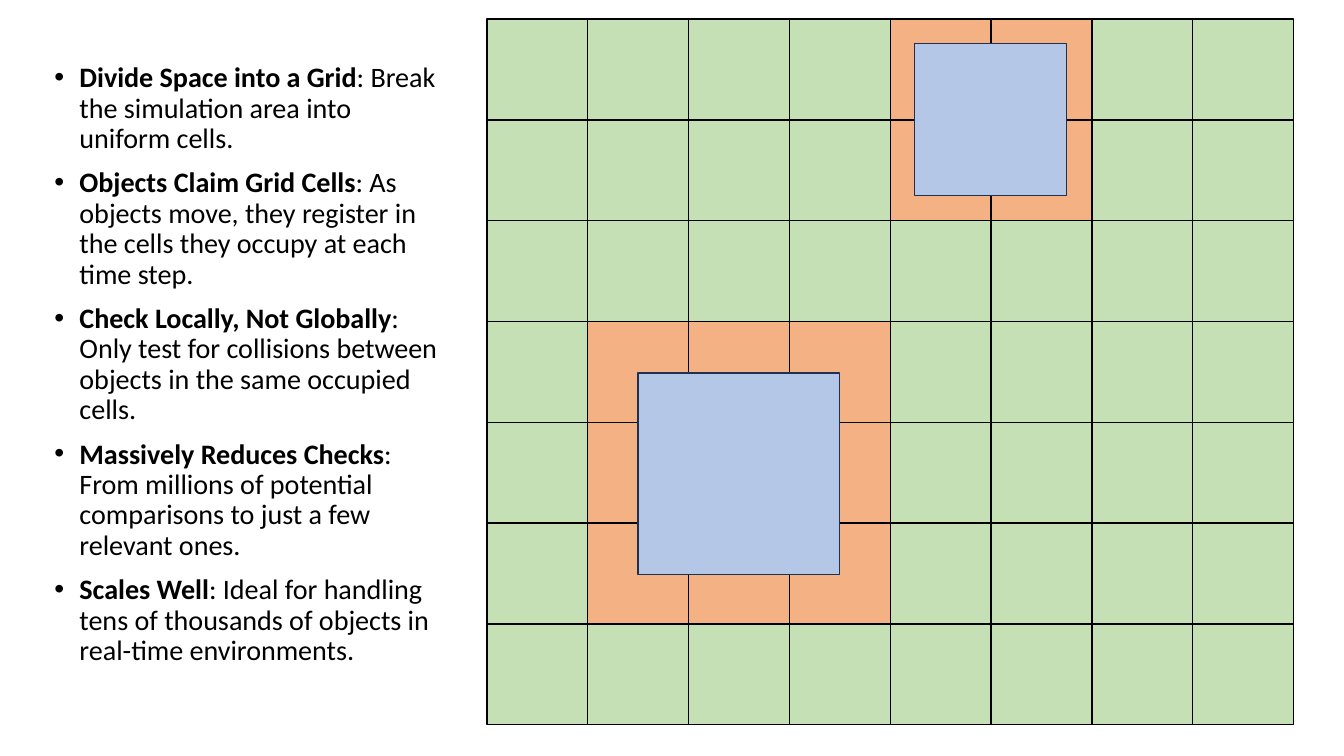
import pptx
import pptx.util
import pptx.dml.color
import pptx.enum.shapes
import pptx.enum.text
import pptx.oxml.ns
import lxml.etree

PX = 9144
CELL = 100
COLUMNS, ROWS = 8, 7
GRID_LEFT, GRID_TOP = 483, 19

BLACK = pptx.dml.color.RGBColor(0x00, 0x00, 0x00)
FREE_GREEN = pptx.dml.color.RGBColor(0xC5, 0xE0, 0xB4)
CLAIMED_ORANGE = pptx.dml.color.RGBColor(0xF4, 0xB1, 0x83)
OBJECT_BLUE = pptx.dml.color.RGBColor(0xB4, 0xC7, 0xE7)
OBJECT_EDGE = pptx.dml.color.RGBColor(0x1D, 0x31, 0x55)

OBJECTS = [(633, 370, 200), (907, 43, 151)]

POINTS = [
    ("Divide Space into a Grid", ": Break the simulation area into uniform cells."),
    ("Objects Claim Grid Cells",
     ": As objects move, they register in the cells they occupy at each time step."),
    ("Check Locally, Not Globally",
     ": Only test for collisions between objects in the same occupied cells."),
    ("Massively Reduces Checks",
     ": From millions of potential comparisons to just a few relevant ones."),
    ("Scales Well",
     ": Ideal for handling tens of thousands of objects in real-time environments."),
]


def px(length):
    return pptx.util.Emu(length * PX)


def add_square(slide, left, top, side, fill, edge):
    square = slide.shapes.add_shape(
        pptx.enum.shapes.MSO_SHAPE.RECTANGLE, px(left), px(top), px(side), px(side))
    square.shadow.inherit = False
    square.fill.solid()
    square.fill.fore_color.rgb = fill
    square.line.color.rgb = edge
    square.line.width = pptx.util.Pt(1)


def overlaps(left, top, thing):
    x, y, side = thing
    return x - CELL < left < x + side and y - CELL < top < y + side


def covers(left, top, thing):
    x, y, side = thing
    return x <= left <= x + side - CELL and y <= top <= y + side - CELL


def add_grid(slide):
    for row in range(ROWS):
        for column in range(COLUMNS):
            left, top = GRID_LEFT + column * CELL, GRID_TOP + row * CELL
            if any(covers(left, top, thing) for thing in OBJECTS):
                continue
            claimed = any(overlaps(left, top, thing) for thing in OBJECTS)
            add_square(slide, left, top, CELL,
                       CLAIMED_ORANGE if claimed else FREE_GREEN, BLACK)


def add_run(paragraph, text, size=20.1, font="Calibri", color=BLACK, bold=False):
    run = paragraph.add_run()
    run.text = text
    run.font.size = pptx.util.Pt(size)
    run.font.name = font
    run.font.color.rgb = color
    run.font.bold = bold


def set_bullet(paragraph, indent):
    properties = paragraph._p.get_or_add_pPr()
    properties.set("marL", str(px(indent)))
    properties.set("indent", str(px(-indent)))
    qn = pptx.oxml.ns.qn
    lxml.etree.SubElement(properties, qn("a:buFont")).set("typeface", "Arial")
    lxml.etree.SubElement(properties, qn("a:buChar")).set("char", "•")


def add_points(slide, left, top, width, height):
    frame = slide.shapes.add_textbox(px(left), px(top), px(width), px(height)).text_frame
    frame.word_wrap = True
    frame.vertical_anchor = pptx.enum.text.MSO_ANCHOR.TOP
    for index, (heading, detail) in enumerate(POINTS):
        paragraph = frame.add_paragraph() if index else frame.paragraphs[0]
        paragraph.line_spacing = 0.9
        paragraph.space_before = pptx.util.Pt(10)
        set_bullet(paragraph, 25)
        add_run(paragraph, heading, bold=True)
        add_run(paragraph, detail)


def main():
    presentation = pptx.Presentation()
    presentation.slide_width = px(1333)
    presentation.slide_height = px(750)
    slide = presentation.slides.add_slide(presentation.slide_layouts[6])
    add_grid(slide)
    for left, top, side in OBJECTS:
        add_square(slide, left, top, side, OBJECT_BLUE, OBJECT_EDGE)
    add_points(slide, 44, 58, 406, 663)
    presentation.save("out.pptx")


if __name__ == "__main__":
    main()
